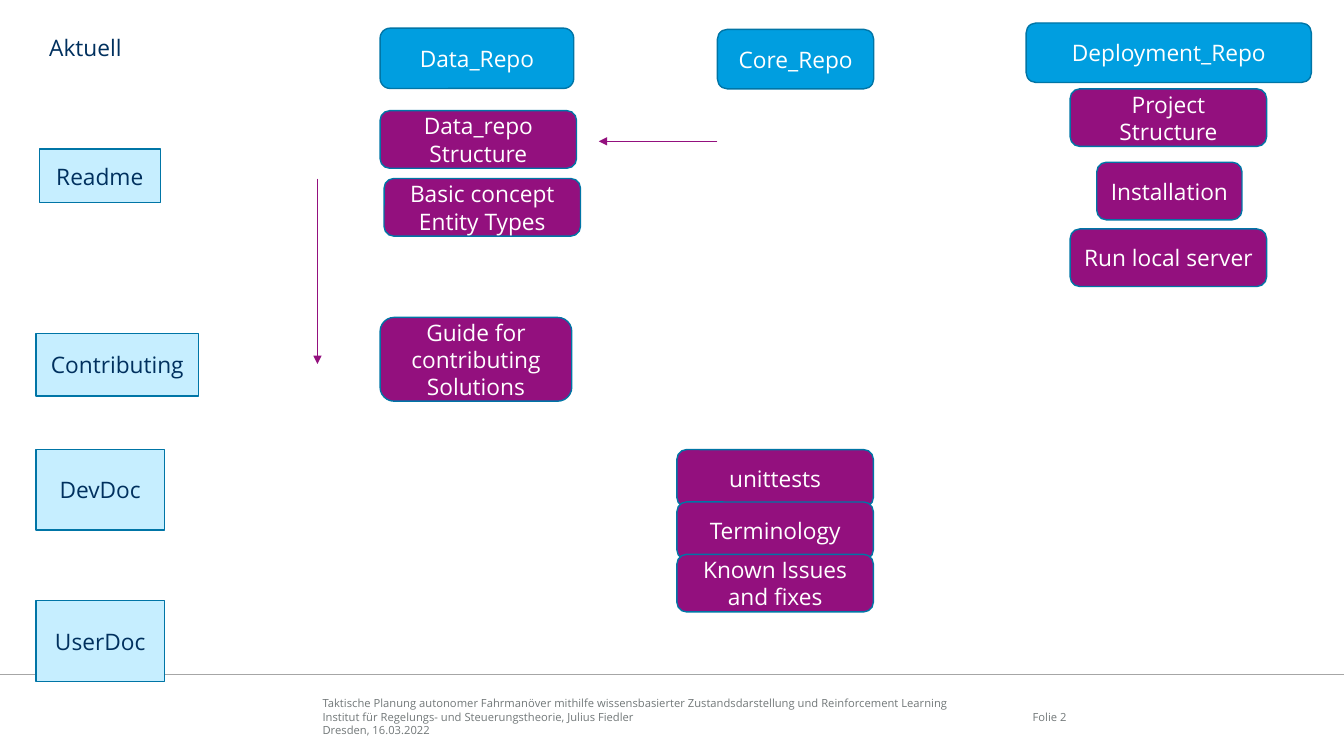
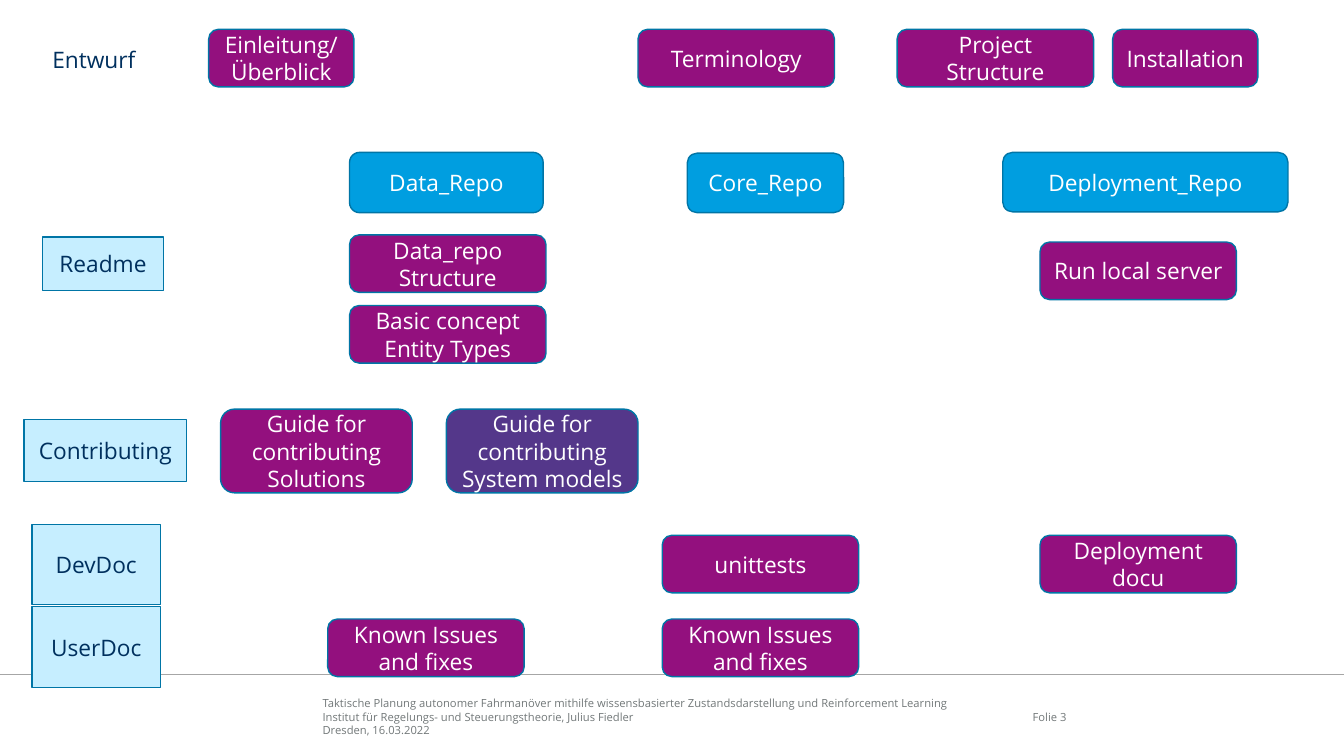
from dataclasses import dataclass

from lxml.etree import SubElement
from pptx import Presentation
from pptx.dml.color import RGBColor
from pptx.enum.shapes import MSO_CONNECTOR, MSO_SHAPE
from pptx.enum.text import MSO_ANCHOR, PP_ALIGN
from pptx.oxml.ns import qn
from pptx.util import Cm, Pt


@dataclass(frozen=True)
class Theme:
    font: str = "Open Sans"
    body_size: float = 16.2
    footer_size: float = 8
    navy: str = "00305E"
    white: str = "FFFFFF"
    outline: str = "0075A6"
    repository: str = "009EE0"
    document: str = "C6EEFF"
    topic: str = "93107E"
    new_topic: str = "54378A"
    footer_text: str = "727879"
    footer_line: str = "A6A6A6"


THEME = Theme()
PAGE_WIDTH, PAGE_HEIGHT = 33.87, 19.05
FOOTER_LINE_TOP = 17
FOOTER = (
    "Taktische Planung autonomer Fahrmanöver mithilfe wissensbasierter "
    "Zustandsdarstellung und Reinforcement Learning "
    "Institut für Regelungs- und Steuerungstheorie, Julius Fiedler\n"
    "Dresden, 16.03.2022"
)

# Box sizes in cm: width, height
REPOSITORY_SIZES = {
    "Core_Repo": (3.94, 1.5),
    "Data_Repo": (4.88, 1.52),
    "Deployment_Repo": (7.19, 1.5),
}
DOCUMENT_SIZES = {
    "Readme": (3.05, 1.35),
    "Contributing": (4.09, 1.57),
    "DevDoc": (3.23, 2.03),
    "UserDoc": (3.23, 2.03),
}
TOPIC_SIZE = (4.95, 1.45)
SMALL_TOPIC_SIZE = (3.66, 1.45)
GUIDE_SIZE = (4.83, 2.11)


def write_text(shape, text, color, size=THEME.body_size, align=PP_ALIGN.LEFT):
    shape.text_frame.word_wrap = True
    shape.text_frame.text = text
    for paragraph in shape.text_frame.paragraphs:
        paragraph.alignment = align
        paragraph.font.name = THEME.font
        paragraph.font.size = Pt(size)
        paragraph.font.color.rgb = RGBColor.from_string(color)


def add_box(slide, preset, text, position, size, fill, text_color):
    shape = slide.shapes.add_shape(preset, *map(Cm, position + size))
    shape.shadow.inherit = False
    shape.fill.solid()
    shape.fill.fore_color.rgb = RGBColor.from_string(fill)
    shape.line.color.rgb = RGBColor.from_string(THEME.outline)
    shape.line.width = Pt(1)
    shape.text_frame.vertical_anchor = MSO_ANCHOR.MIDDLE
    write_text(shape, text, text_color, align=PP_ALIGN.CENTER)


def add_repository(slide, name, left, top):
    add_box(slide, MSO_SHAPE.ROUNDED_RECTANGLE, name, (left, top),
            REPOSITORY_SIZES[name], THEME.repository, THEME.white)


def add_document(slide, name, left, top):
    add_box(slide, MSO_SHAPE.RECTANGLE, name, (left, top),
            DOCUMENT_SIZES[name], THEME.document, THEME.navy)


def add_topic(slide, text, left, top, size=TOPIC_SIZE, fill=THEME.topic):
    add_box(slide, MSO_SHAPE.ROUNDED_RECTANGLE, text, (left, top),
            size, fill, THEME.white)


def add_line(slide, start, end, color, width):
    connector = slide.shapes.add_connector(
        MSO_CONNECTOR.STRAIGHT, *map(Cm, start + end))
    connector.line.color.rgb = RGBColor.from_string(color)
    connector.line.width = Pt(width)
    SubElement(connector.element.spPr, qn("a:effectLst"))
    return connector


def add_arrow(slide, start, end):
    connector = add_line(slide, start, end, THEME.topic, 0.5)
    line = connector.element.spPr.find(qn("a:ln"))
    SubElement(line, qn("a:tailEnd"), type="triangle")


def add_heading(slide, text, left, top):
    box = slide.shapes.add_textbox(Cm(left), Cm(top), Cm(3.5), Cm(0.94))
    write_text(box, text, THEME.navy)


def add_footer_text(slide, text, left, width, anchor, align):
    box = slide.shapes.add_textbox(Cm(left), Cm(17.55), Cm(width), Cm(1.02))
    frame = box.text_frame
    frame.margin_left = frame.margin_right = 0
    frame.margin_top = frame.margin_bottom = 0
    frame.vertical_anchor = anchor
    write_text(box, text, THEME.footer_text, THEME.footer_size, align)


def add_base_slide(presentation, number):
    slide = presentation.slides.add_slide(presentation.slide_layouts[6])
    add_footer_text(slide, FOOTER, 8.13, 16.2, MSO_ANCHOR.BOTTOM, PP_ALIGN.LEFT)
    add_line(slide, (0, FOOTER_LINE_TOP), (PAGE_WIDTH, FOOTER_LINE_TOP),
             THEME.footer_line, 1)
    add_footer_text(slide, f"Folie {number}", 24.92, 1.96,
                    MSO_ANCHOR.MIDDLE, PP_ALIGN.RIGHT)
    return slide


def add_overview(presentation, number, heading, repositories, documents, topics):
    slide = add_base_slide(presentation, number)
    add_heading(slide, *heading)
    for repository in repositories:
        add_repository(slide, *repository)
    for document in documents:
        add_document(slide, *document)
    for topic in topics:
        add_topic(slide, *topic)
    return slide


def build_current_state(presentation):
    stack_top, stack_step = 11.33, 1.32
    slide = add_overview(
        presentation, 2, ("Aktuell", 0.99, 0.74),
        repositories=[
            ("Core_Repo", 18.08, 0.74),
            ("Data_Repo", 9.58, 0.71),
            ("Deployment_Repo", 25.86, 0.58),
        ],
        documents=[
            ("Readme", 0.99, 3.76),
            ("Contributing", 0.91, 8.41),
            ("DevDoc", 0.91, 11.33),
            ("UserDoc", 0.91, 15.14),
        ],
        topics=[
            # Data repository
            ("Data_repo Structure", 9.58, 2.79),
            ("Basic concept\nEntity Types", 9.68, 4.5),
            ("Guide for contributing Solutions", 9.58, 8, GUIDE_SIZE),
            # Deployment repository
            ("Project Structure", 26.97, 2.24),
            ("Installation", 27.64, 4.09, SMALL_TOPIC_SIZE),
            ("Run local server", 26.97, 5.77),
        ],
    )
    # Overlapping stack in the core repository
    for row, text in enumerate(
            ["unittests", "Terminology", "Known Issues and fixes"]):
        add_topic(slide, text, 17.06, stack_top + row * stack_step)
    # Reading directions
    add_arrow(slide, (8, 4.5), (8, 9.17))
    add_arrow(slide, (18.08, 3.56), (15.09, 3.56))


def build_draft(presentation):
    top_row, developer_row, user_row = 0.74, 13.49, 15.6
    data_left, core_left, deployment_left = 8.81, 16.69, 26.21
    add_overview(
        presentation, 3, ("Entwurf", 1.07, 1.02),
        repositories=[
            ("Core_Repo", 17.32, 3.86),
            ("Data_Repo", data_left, 3.84),
            ("Deployment_Repo", 25.27, 3.84),
        ],
        documents=[
            ("Readme", 1.07, 5.97),
            ("Contributing", 0.61, 10.57),
            ("DevDoc", 0.81, 13.21),
            ("UserDoc", 0.81, 15.29),
        ],
        topics=[
            # Shared topics above the repositories
            ("Einleitung/ Überblick", 5.26, top_row, SMALL_TOPIC_SIZE),
            ("Terminology", 16.08, top_row),
            ("Project Structure", 22.61, top_row),
            ("Installation", 28.04, top_row, SMALL_TOPIC_SIZE),
            # Readme
            ("Data_repo Structure", data_left, 5.92),
            ("Basic concept\nEntity Types", data_left, 7.7),
            ("Run local server", deployment_left, 6.1),
            # Contributing
            ("Guide for contributing Solutions", 5.56, 10.31, GUIDE_SIZE),
            ("Guide for contributing System models", 11.25, 10.31,
             GUIDE_SIZE, THEME.new_topic),
            # Developer and user documentation
            ("unittests", core_left, developer_row),
            ("Deployment docu", deployment_left, developer_row),
            ("Known Issues and fixes", 8.26, user_row),
            ("Known Issues and fixes", core_left, user_row),
        ],
    )


def main():
    presentation = Presentation()
    presentation.slide_width = Cm(PAGE_WIDTH)
    presentation.slide_height = Cm(PAGE_HEIGHT)
    build_current_state(presentation)
    build_draft(presentation)
    presentation.save("out.pptx")


if __name__ == "__main__":
    main()
